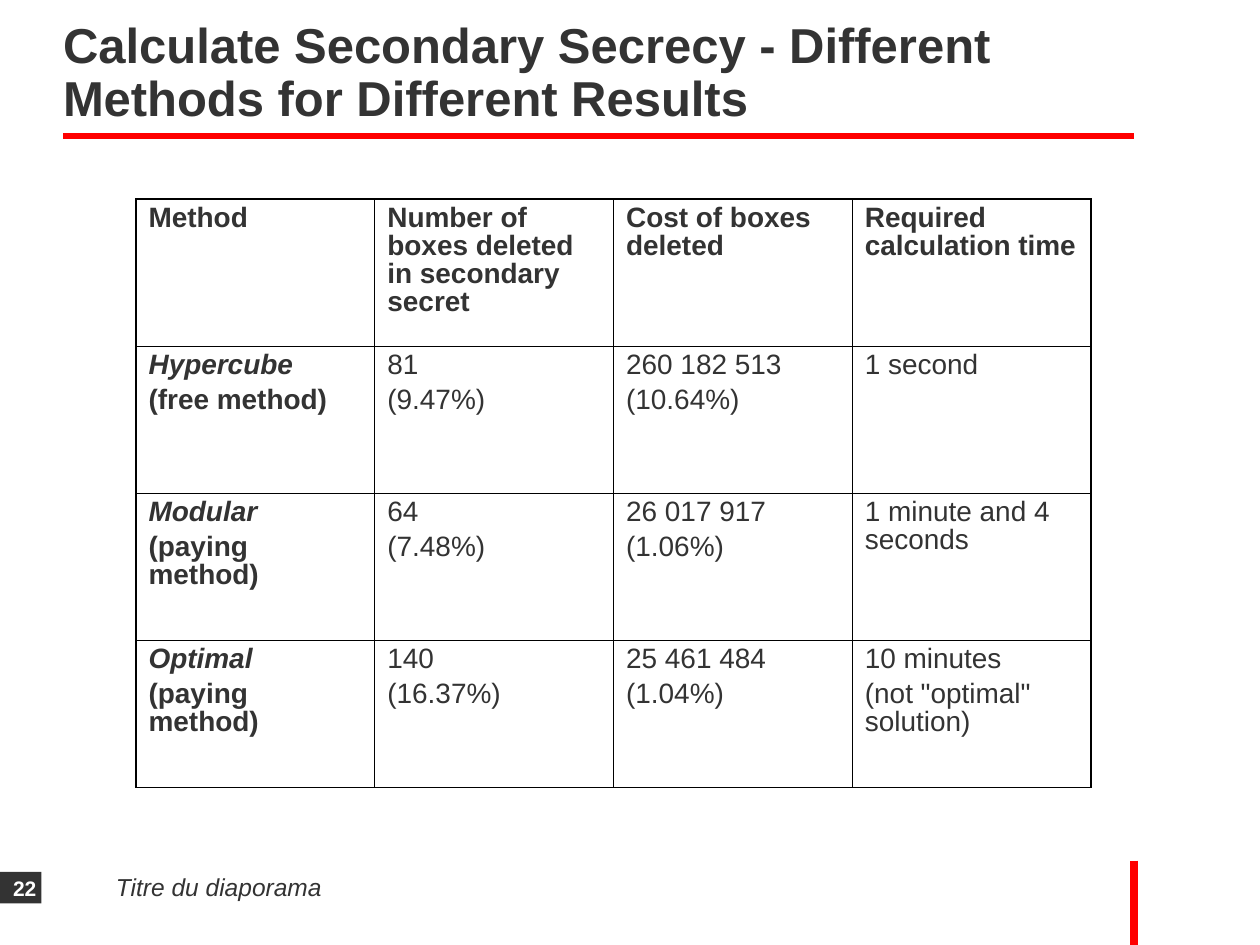
from lxml.etree import SubElement
from pptx import Presentation
from pptx.dml.color import RGBColor
from pptx.enum.shapes import MSO_CONNECTOR as Connector, MSO_SHAPE as Shape
from pptx.enum.text import MSO_ANCHOR as Anchor, PP_ALIGN as Align
from pptx.oxml.ns import qn
from pptx.util import Inches, Pt

DARK, RED, WHITE, BLACK = "333333", "FF0000", "FFFFFF", "000000"


def paint(fill, color):
    fill.solid()
    fill.fore_color.rgb = RGBColor.from_string(color)


def write(frame, text, size=16, color=DARK, bold=False, italic=False, first_italic=False,
          align=Align.LEFT, spacing=1.0, gap=0, anchor=Anchor.TOP, margins=(0, 0, 0, 0)):
    frame.word_wrap = True
    frame.vertical_anchor = anchor
    frame.margin_left, frame.margin_top, frame.margin_right, frame.margin_bottom = map(Inches, margins)
    for index, line in enumerate(text.split("\n")):
        para = frame.paragraphs[0] if index == 0 else frame.add_paragraph()
        para.alignment = align
        para.line_spacing = spacing
        para.space_before = Pt(gap if index else 0)
        span = para.add_run()
        span.text = line
        span.font.name = "Arial"
        span.font.size = Pt(size)
        span.font.bold = bold
        span.font.italic = italic or (first_italic and index == 0)
        paint(span.font.fill, color)


deck = Presentation()
deck.slide_width, deck.slide_height = Inches(10), Inches(7.5)
page = deck.slides.add_slide(deck.slide_layouts[5])

for left, top, right, bottom, width in [(9, 6.83, 9, 7.5, 4.5), (0.5, 1.08, 9, 1.08, 3)]:
    rule = page.shapes.add_connector(
        Connector.STRAIGHT, Inches(left), Inches(top), Inches(right), Inches(bottom))
    paint(rule.line.fill, RED)
    rule.line.width = Pt(width)
    SubElement(rule._element.spPr, qn("a:effectLst"))

title = page.shapes.title
title.left, title.top, title.width, title.height = map(Inches, (0.5, 0.18, 8.5, 0.83))
write(title.text_frame, "Calculate Secondary Secrecy - Different Methods for Different Results",
      size=28, bold=True, spacing=0.9, anchor=Anchor.BOTTOM)

rows = [
    ["Method", "Number of boxes deleted in secondary secret", "Cost of boxes deleted",
     "Required calculation time"],
    ["Hypercube\n(free method)", "81\n(9.47%)", "260 182 513\n(10.64%)", "1 second"],
    ["Modular\n(paying method)", "64\n(7.48%)", "26 017 917\n(1.06%)", "1 minute and 4 seconds"],
    ["Optimal\n(paying method)", "140\n(16.37%)", "25 461 484\n(1.04%)",
     "10 minutes\n(not \"optimal\" solution)"],
]
last = len(rows) - 1
holder = page.shapes.add_table(
    len(rows), len(rows[0]), Inches(1.08), Inches(1.58), Inches(7.58), Inches(4.67))
table = holder.table
table.first_row = table.horz_banding = False
for row_index, row in enumerate(rows):
    for column_index, text in enumerate(row):
        cell = table.cell(row_index, column_index)
        write(cell.text_frame, text, bold=row_index == 0 or column_index == 0,
              first_italic=row_index > 0 and column_index == 0, spacing=0.9, gap=4)
        cell.margin_left = cell.margin_right = Inches(0.1)
        cell.margin_top = cell.margin_bottom = Inches(0.05)
        cell.vertical_anchor = Anchor.TOP
        outer_edges = {"lnL": column_index == 0, "lnR": column_index == last,
                       "lnT": row_index == 0, "lnB": row_index == last}
        properties = cell._tc.get_or_add_tcPr()
        for edge, is_outer in outer_edges.items():
            border = SubElement(properties, qn(f"a:{edge}"), w=str(Pt(1.08 if is_outer else 0.45)))
            SubElement(SubElement(border, qn("a:solidFill")), qn("a:srgbClr"), val=BLACK)
        cell.fill.background()

footer = page.shapes.add_textbox(Inches(0.92), Inches(6.92), Inches(7.08), Inches(0.25))
write(footer.text_frame, "Titre du diaporama", size=14, italic=True)

number = page.shapes.add_shape(Shape.RECTANGLE, 0, Inches(6.92), Inches(0.33), Inches(0.25))
number.shadow.inherit = False
paint(number.fill, DARK)
number.line.fill.background()
write(number.text_frame, "22", size=12, color=WHITE, bold=True, align=Align.RIGHT,
      spacing=1.15, margins=(0, 0, 0.04, 0))

deck.save("out.pptx")
